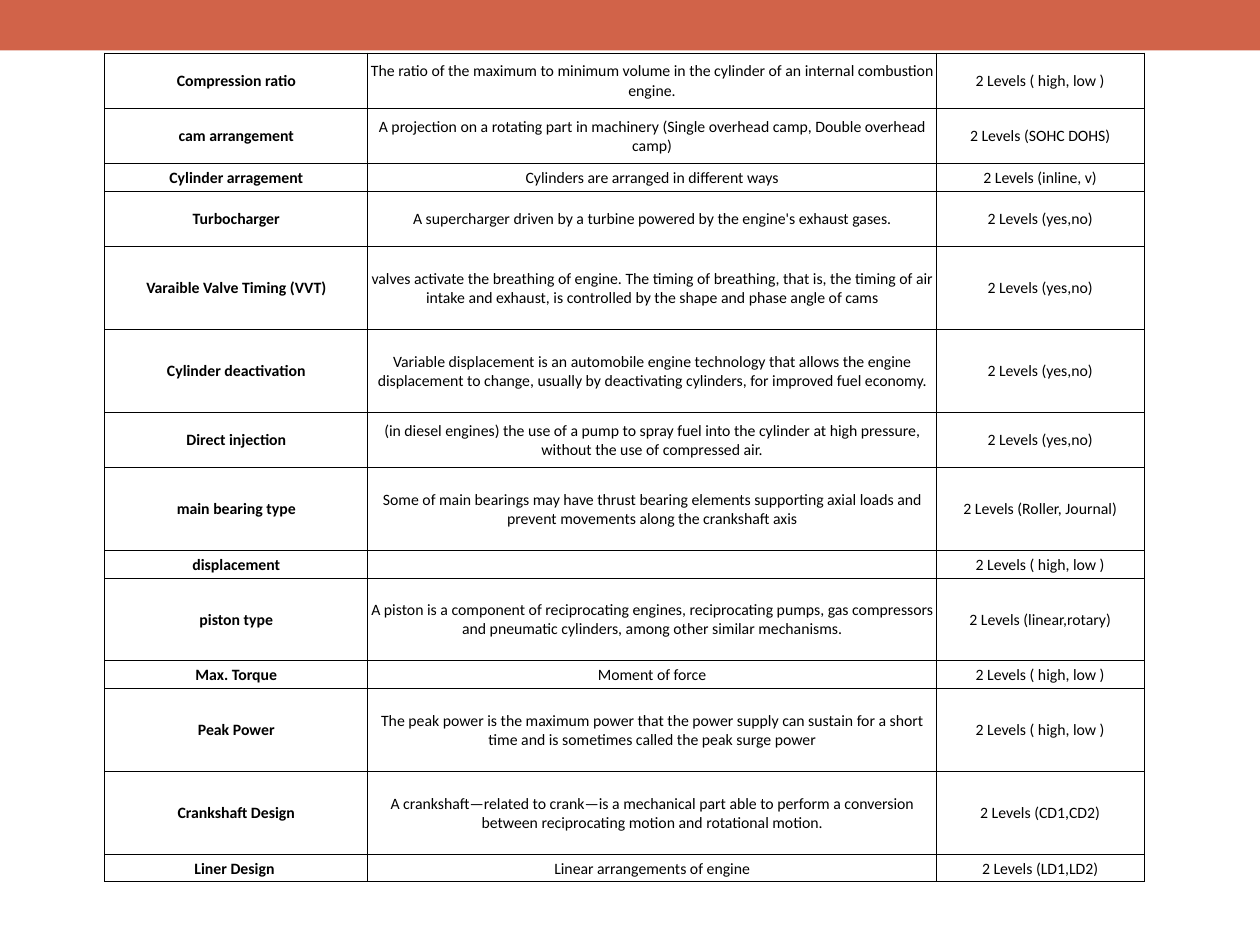
from dataclasses import dataclass

from lxml import etree
from pptx import Presentation
from pptx import util as u
from pptx.dml.color import RGBColor
from pptx.enum import shapes, text
from pptx.oxml.ns import qn

RUST = RGBColor(0xD1, 0x63, 0x49)
BLACK = RGBColor(0, 0, 0)
WIDE, HIGH = u.Inches(10), u.Inches(7.5)
LEFT, TOP = u.Inches(0.83), u.Inches(0.42)
UNIT = u.Inches(6.58 / 30)
COLS = (2.09, 4.51, 1.65)
SIZE = u.Pt(9)
EDGE = u.Pt(0.5)
HILO = "2 Levels ( high, low )"
YESNO = "2 Levels (yes,no)"


@dataclass
class Factor:
    name: str
    note: str
    levels: str
    units: int


FACTORS = [
    Factor("Compression ratio", "The ratio of the maximum to minimum volume in the cylinder "
           "of an internal combustion engine.", HILO, 2),
    Factor("cam arrangement", "A projection on a rotating part in machinery "
           "(Single overhead camp, Double overhead camp)", "2 Levels (SOHC DOHS)", 2),
    Factor("Cylinder arragement", "Cylinders are arranged in different ways",
           "2 Levels (inline, v)", 1),
    Factor("Turbocharger", "A supercharger driven by a turbine powered by the engine's "
           "exhaust gases.", YESNO, 2),
    Factor("Varaible Valve Timing (VVT)", "valves activate the breathing of engine. "
           "The timing of breathing, that is, the timing of air intake and exhaust, "
           "is controlled by the shape and phase angle of cams", YESNO, 3),
    Factor("Cylinder deactivation", "Variable displacement is an automobile engine technology "
           "that allows the engine displacement to change, usually by deactivating cylinders, "
           "for improved fuel economy.", YESNO, 3),
    Factor("Direct injection", "(in diesel engines) the use of a pump to spray fuel into the "
           "cylinder at high pressure, without the use of compressed air.", YESNO, 2),
    Factor("main bearing type", "Some of main bearings may have thrust bearing elements "
           "supporting axial loads and prevent movements along the crankshaft axis",
           "2 Levels (Roller, Journal)", 3),
    Factor("displacement", "", HILO, 1),
    Factor("piston type", "A piston is a component of reciprocating engines, reciprocating "
           "pumps, gas compressors and pneumatic cylinders, among other similar mechanisms.",
           "2 Levels (linear,rotary)", 3),
    Factor("Max. Torque", "Moment of force", HILO, 1),
    Factor("Peak Power", "The peak power is the maximum power that the power supply can sustain "
           "for a short time and is sometimes called the peak surge power", HILO, 3),
    Factor("Crankshaft Design", "A crankshaft—related to crank—is a mechanical part able to "
           "perform a conversion between reciprocating motion and rotational motion.",
           "2 Levels (CD1,CD2)", 3),
    Factor("Liner Design ", "Linear arrangements of engine", "2 Levels (LD1,LD2)", 1),
]

CELL = {
    "vertical_anchor": text.MSO_ANCHOR.MIDDLE,
    "margin_left": u.Inches(0.01),
    "margin_right": u.Inches(0.01),
    "margin_top": u.Inches(0.01),
    "margin_bottom": 0,
}
FONT = {"name": "Calibri", "size": SIZE}


def apply(item, form: dict) -> None:
    for key, value in form.items():
        setattr(item, key, value)


def add_edges(cell) -> None:
    props = cell._tc.get_or_add_tcPr()
    for spot, side in enumerate(("lnL", "lnR", "lnT", "lnB")):
        line = etree.Element(qn(f"a:{side}"), w=str(EDGE))
        fill = etree.SubElement(line, qn("a:solidFill"))
        etree.SubElement(fill, qn("a:srgbClr"), val=str(BLACK))
        props.insert(spot, line)


def fill_cell(cell, words: str, bold: bool) -> None:
    apply(cell, CELL)
    cell.fill.background()
    add_edges(cell)
    para = cell.text_frame.paragraphs[0]
    para.alignment = text.PP_ALIGN.CENTER
    if words:
        run = para.add_run()
        run.text = words
        apply(run.font, FONT | {"bold": bold})
        run.font.color.rgb = BLACK
    else:
        para._p.get_or_add_endParaRPr().set("sz", str(int(SIZE.pt * 100)))


def add_band(slide) -> None:
    band = slide.shapes.add_shape(shapes.MSO_SHAPE.RECTANGLE, 0, 0, WIDE, u.Inches(0.4))
    band.shadow.inherit = False
    band.fill.solid()
    band.fill.fore_color.rgb = RUST
    band.line.fill.background()


def add_grid(slide, factors: list[Factor]) -> None:
    high = UNIT * sum(f.units for f in factors)
    frame = slide.shapes.add_table(len(factors), len(COLS), LEFT, TOP, u.Inches(sum(COLS)), high)
    grid = frame.table
    apply(grid, {"first_row": False, "horz_banding": False})
    for col, wide in zip(grid.columns, COLS):
        col.width = u.Inches(wide)
    for row, factor in zip(grid.rows, factors):
        row.height = UNIT * factor.units
        for spot, words in enumerate((factor.name, factor.note, factor.levels)):
            fill_cell(row.cells[spot], words, bold=spot == 0)


def main() -> None:
    deck = Presentation()
    apply(deck, {"slide_width": WIDE, "slide_height": HIGH})
    slide = deck.slides.add_slide(deck.slide_layouts[6])
    add_band(slide)
    add_grid(slide, FACTORS)
    deck.save("out.pptx")


if __name__ == "__main__":
    main()
